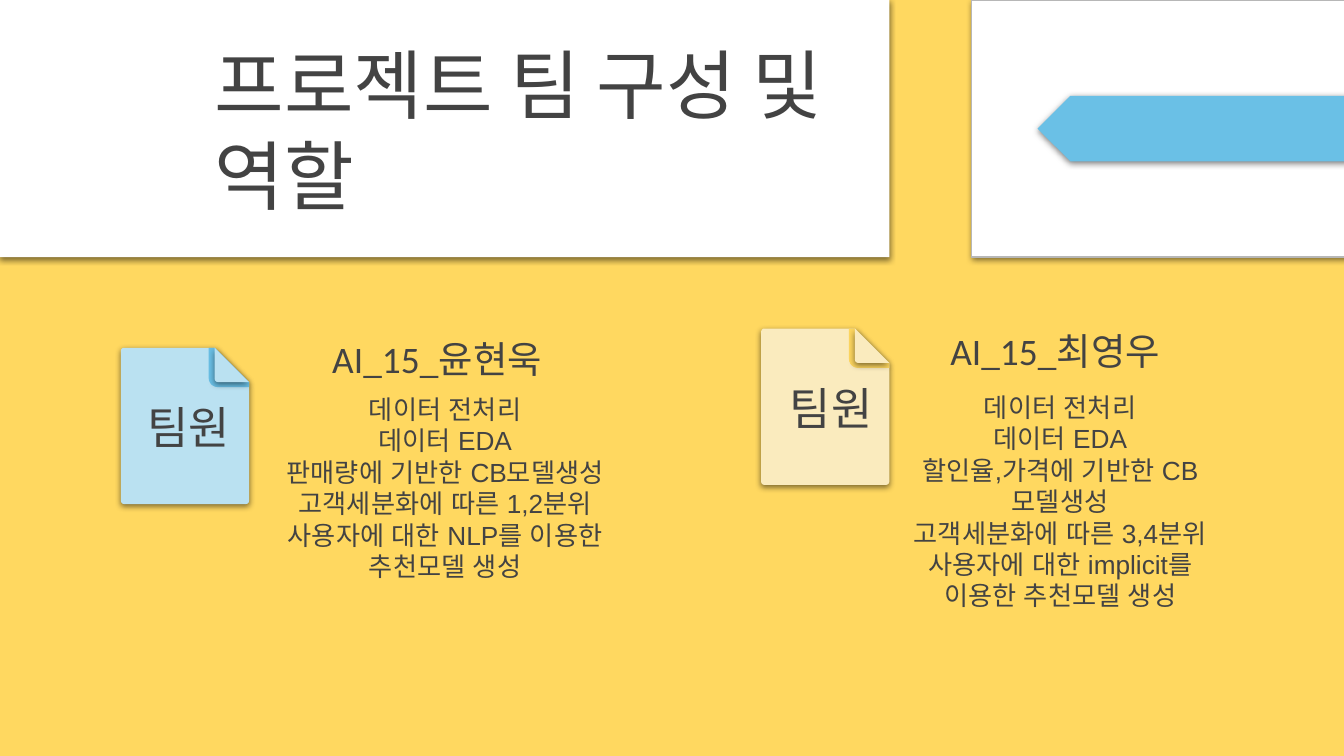
from math import cos, radians, sin

from lxml import etree
from pptx import Presentation
from pptx.dml.color import RGBColor
from pptx.enum.shapes import MSO_SHAPE
from pptx.enum.text import MSO_ANCHOR, PP_ALIGN
from pptx.oxml import parse_xml
from pptx.oxml.ns import nsdecls, qn
from pptx.util import Inches, Pt

YELLOW = RGBColor(0xFF, 0xD8, 0x60)
WHITE = RGBColor(0xFF, 0xFF, 0xFF)
GRAY = RGBColor(0xB7, 0xB7, 0xB7)
INK = RGBColor(0x43, 0x43, 0x43)
BLUE = RGBColor(0x6A, 0xC0, 0xE6)
SKY = RGBColor(0xBA, 0xE1, 0xF1)
CREAM = RGBColor(0xFA, 0xEB, 0xBE)
PAD = 0.13


def paint(shape, color, shade=True):
    shape.fill.solid()
    shape.fill.fore_color.rgb = color
    shape.line.fill.background()
    shape.shadow.inherit = False
    if shade:
        old = shape._element.spPr.find(qn("a:effectLst"))
        new = parse_xml(
            f'<a:effectLst {nsdecls("a")}>'
            f'<a:outerShdw blurRad="{Pt(4.5)}" dist="{Pt(1.5)}" dir="5400000" '
            'algn="bl" rotWithShape="0"><a:srgbClr val="000000">'
            '<a:alpha val="50000"/></a:srgbClr></a:outerShdw></a:effectLst>')
        old.getparent().replace(old, new)


def add_form(shapes, kind, box, color):
    shape = shapes.add_shape(kind, *map(Inches, box))
    paint(shape, color)
    return shape


def write(shape, lines, size, font, align, anchor, left=PAD):
    frame = shape.text_frame
    frame.word_wrap = True
    frame.vertical_anchor = anchor
    frame.margin_left = Inches(left)
    frame.margin_top = frame.margin_right = frame.margin_bottom = Inches(PAD)
    for i, line in enumerate(lines):
        para = frame.add_paragraph() if i else frame.paragraphs[0]
        para.alignment = align
        run = para.add_run()
        run.text = line
        run.font.size = Pt(size)
        run.font.name = font
        run.font.color.rgb = INK
        # East Asian letters use the same font name
        etree.SubElement(run.font._element, qn("a:ea"), typeface=font)


def add_text(shapes, box, lines, size, font="Calibri", anchor=MSO_ANCHOR.MIDDLE):
    text = shapes.add_textbox(*map(Inches, box))
    write(text, lines, size, font, PP_ALIGN.CENTER, anchor)


def arc(x, y, radius, start, sweep=90, steps=6):
    turns = [radians(start + sweep * i / steps) for i in range(steps + 1)]
    return [(x + radius * cos(t), y + radius * sin(t)) for t in turns]


def add_free(shapes, left, top, points, color, shade=True):
    spots = [(Inches(left + x), Inches(top + y)) for x, y in points]
    form = shapes.build_freeform(*spots[0])
    form.add_line_segments(spots[1:], close=True)
    paint(form.convert_to_shape(), color, shade)


def draw_note(shapes, left, top, color, dark):
    """Sheet of paper with its top right corner folded."""
    wide, high, fold, bend = 1.27, 1.55, 0.34, 0.03
    edge = wide - fold
    sheet = (arc(bend, bend, bend, 180) + [(edge, 0), (wide, fold)]
             + arc(wide - bend, high - bend, bend, 0)
             + arc(bend, high - bend, bend, 90))
    curl = ([(edge, 0), (edge - 0.06, 0)] + arc(edge + 0.03, 0.3, 0.09, 180, -90)
            + [(wide, 0.39), (wide, fold)])
    flap = [(edge, 0)] + arc(edge + bend, fold - bend, bend, 180, -90) + [(wide, fold)]
    add_free(shapes, left, top, sheet, color)
    add_free(shapes, left, top, curl, dark, False)
    add_free(shapes, left, top, flap, color)


def draw_head(shapes, wide, high):
    # Right panel with arrow
    panel = add_form(shapes, MSO_SHAPE.RECTANGLE, (9.64, 0, 3.81, high), WHITE)
    panel.line.color.rgb = GRAY
    panel.line.width = Pt(0.75)
    arrow = add_form(shapes, MSO_SHAPE.PENTAGON, (10.29, 0.95, 3.16, 0.65), BLUE)
    arrow.rotation = 180
    # Title panel
    title = add_form(shapes, MSO_SHAPE.RECTANGLE, (0, 0, wide, high), WHITE)
    write(title, ["프로젝트 팀 구성 및 역할"], 54, "Calibri",
          PP_ALIGN.LEFT, MSO_ANCHOR.MIDDLE, 2.13)


def draw_card(shapes, note, width, color, dark, name, tasks):
    left, top = note
    draw_note(shapes, left, top, color, dark)
    add_text(shapes, (left + 0.07, top + 0.32, width, 0.92), ["팀원"], 32)
    box, title = name
    add_text(shapes, box, [title], 26.7, anchor=MSO_ANCHOR.BOTTOM)
    box, lines = tasks
    add_text(shapes, box, lines, 18.7, "Arial", MSO_ANCHOR.TOP)


def main():
    deck = Presentation()
    deck.slide_width, deck.slide_height = Inches(13.33), Inches(7.5)
    slide = deck.slides.add_slide(deck.slide_layouts[6])
    slide.background.fill.solid()
    slide.background.fill.fore_color.rgb = YELLOW
    shapes = slide.shapes
    draw_head(shapes, 8.82, 2.55)

    # Team members
    shared = ["데이터 전처리", "데이터 EDA"]
    draw_card(shapes, (1.2, 3.45), 1.2, SKY, BLUE,
              ((2.64, 3.26, 3.39, 0.65), "AI_15_윤현욱"),
              ((2.56, 3.77, 3.71, 2.29), shared + [
                  "판매량에 기반한 CB모델생성",
                  "고객세분화에 따른 1,2분위 사용자에 대한 NLP를 이용한 추천모델 생성"]))
    draw_card(shapes, (7.55, 3.26), 1.25, CREAM, YELLOW,
              ((8.77, 3.18, 3.39, 0.65), "AI_15_최영우"),
              ((8.82, 3.75, 3.39, 2.29), shared + [
                  "할인율,가격에 기반한 CB모델생성",
                  "고객세분화에 따른 3,4분위 사용자에 대한 implicit를 이용한 추천모델 생성"]))
    deck.save("out.pptx")


if __name__ == "__main__":
    main()
